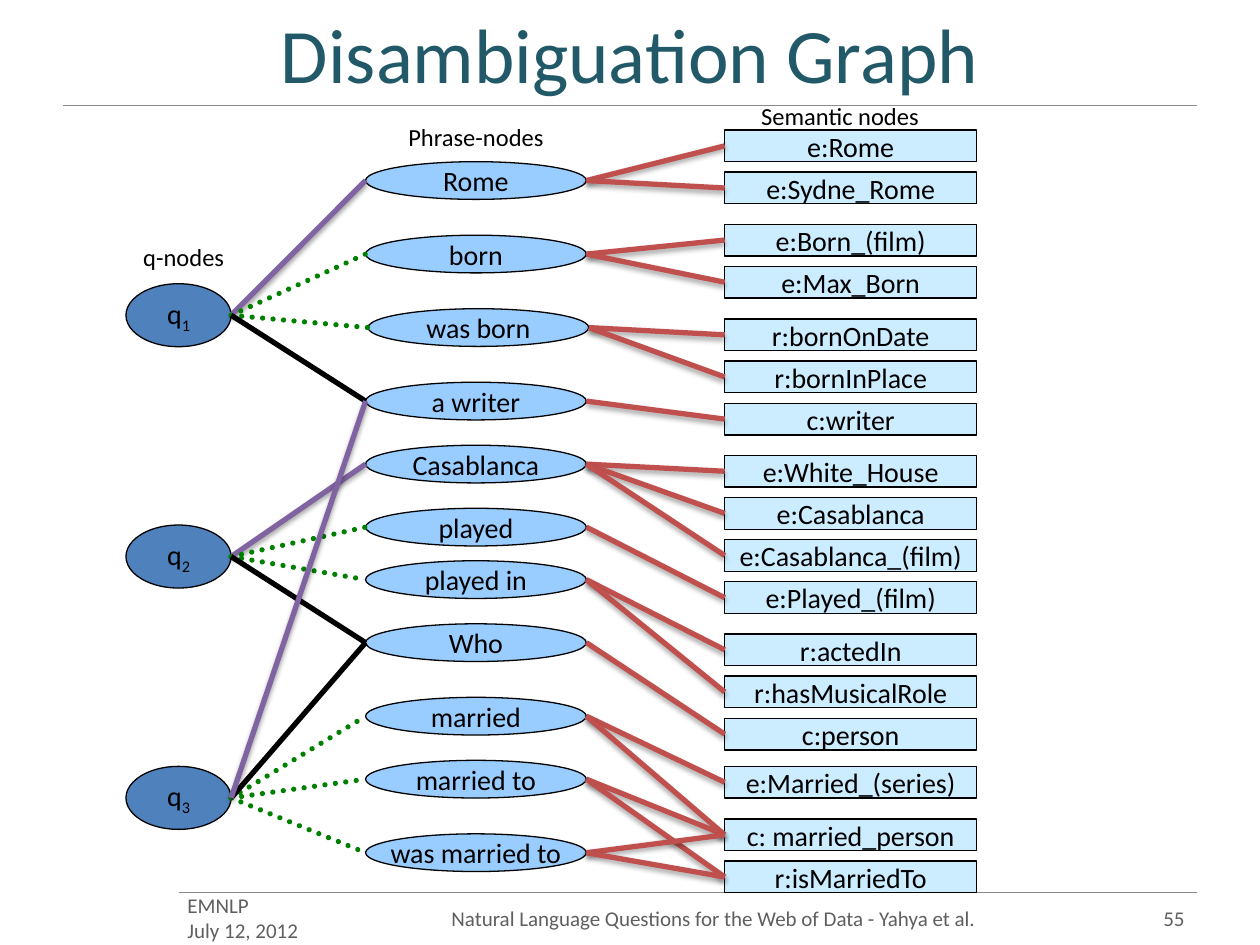
from collections import namedtuple
from dataclasses import dataclass
from lxml.etree import SubElement
from pptx import Presentation
from pptx.dml.color import RGBColor
from pptx.enum.dml import MSO_LINE
from pptx.enum.shapes import MSO_CONNECTOR, MSO_SHAPE
from pptx.enum.text import MSO_ANCHOR, PP_ALIGN
from pptx.oxml.ns import qn
from pptx.util import Cm, Pt

Box = namedtuple("Box", "x y w h")
Edge = namedtuple("Edge", "color dotted shade", defaults=(False, None))


@dataclass(frozen=True)
class Theme:
    """Colours, font and type sizes of the slide."""
    font: str = "Calibri"
    title: str = "215968"
    ink: str = "000000"
    paper: str = "FFFFFF"
    gray: str = "5F5F5F"
    rule: str = "898989"
    query: str = "4F81BD"
    phrase: str = "99CCFF"
    sense: str = "CCECFF"
    head: int = 44
    node: int = 16
    label: int = 14
    foot: int = 12
    thin: float = 0.75
    thick: float = 3


T = Theme()
RED = Edge("C0504D", shade=(35, 1.8))
PLUM = Edge("8064A2", shade=(38, 1.6))
BLACK = Edge(T.ink)
DOTS = Edge("008000", dotted=True)

QUERIES = [
    ("1", {"Rome": PLUM, "born": DOTS, "was born": DOTS, "a writer": BLACK}),
    ("2", {"Casablanca": PLUM, "played": DOTS, "played in": DOTS, "Who": BLACK}),
    ("3", {"married": DOTS, "married to": DOTS, "was married to": DOTS,
           "Who": BLACK, "a writer": PLUM}),
]
PHRASES = [
    ("Rome", 0, ["e:Rome", "e:Sydne_Rome"]),
    ("born", 7, ["e:Born_(film)", "e:Max_Born"]),
    ("was born", 14, ["r:bornOnDate", "r:bornInPlace"]),
    ("a writer", 21, ["c:writer"]),
    ("Casablanca", 27, ["e:White_House", "e:Casablanca", "e:Casablanca_(film)"]),
    ("played", 33, ["e:Played_(film)"]),
    ("played in", 38, ["r:actedIn", "r:hasMusicalRole"]),
    ("Who", 44, ["c:person"]),
    ("married", 51, ["e:Married_(series)", "c: married_person"]),
    ("married to", 57, ["c: married_person", "r:isMarriedTo"]),
    ("was married to", 64, ["c: married_person", "r:isMarriedTo"]),
]
GROUPS = [
    (0, ["e:Rome", "e:Sydne_Rome"]),
    (1.9, ["e:Born_(film)", "e:Max_Born"]),
    (3.81, ["r:bornOnDate", "r:bornInPlace", "c:writer"]),
    (6.56, ["e:White_House", "e:Casablanca", "e:Casablanca_(film)",
            "e:Played_(film)"]),
    (10.16, ["r:actedIn", "r:hasMusicalRole", "c:person"]),
    (12.83, ["e:Married_(series)"]),
    (13.89, ["c: married_person", "r:isMarriedTo"]),
]


def tint(text):
    """Turn a hex string into a colour."""
    return RGBColor.from_string(text)


def style(para, size, color, align):
    """Format one paragraph."""
    para.alignment = align
    para.font.name = T.font
    para.font.size = Pt(size)
    para.font.color.rgb = tint(color)


def note(slide, box, text, size, color, align=PP_ALIGN.CENTER,
         anchor=MSO_ANCHOR.TOP):
    """Add a wrapped text box."""
    frame = slide.shapes.add_textbox(*map(Cm, box)).text_frame
    frame.word_wrap = True
    frame.vertical_anchor = anchor
    frame.text = text
    for para in frame.paragraphs:
        style(para, size, color, align)


def node(slide, kind, box, text, fill, sub=""):
    """Add a graph node, with an optional subscript."""
    shape = slide.shapes.add_shape(kind, *map(Cm, box))
    shape.shadow.inherit = False
    shape.fill.solid()
    shape.fill.fore_color.rgb = tint(fill)
    shape.line.color.rgb = tint(T.ink)
    shape.line.width = Pt(T.thin)
    frame = shape.text_frame
    frame.word_wrap = False
    frame.vertical_anchor = MSO_ANCHOR.MIDDLE
    para = frame.paragraphs[0]
    para.add_run().text = text
    if sub:
        run = para.add_run()
        run.text = sub
        run.font._element.set("baseline", "-25000")
    style(para, T.node, T.ink, PP_ALIGN.CENTER)
    return shape


def link(slide, start, end, edge, width):
    """Add a straight line, dotted or shaded as its edge says."""
    line = slide.shapes.add_connector(MSO_CONNECTOR.STRAIGHT, *start, *end)
    line.line.color.rgb = tint(edge.color)
    line.line.width = Pt(width)
    props = line._element.spPr
    if edge.dotted:
        line.line.dash_style = MSO_LINE.ROUND_DOT
        props.find(qn("a:ln")).set("cap", "rnd")
    effect = SubElement(props, qn("a:effectLst"))
    if edge.shade:
        alpha, dist = edge.shade
        shade = SubElement(effect, qn("a:outerShdw"), blurRad=str(Pt(3.1)),
                           dist=str(Pt(dist)), dir="5400000", rotWithShape="0")
        color = SubElement(shade, qn("a:srgbClr"), val=T.ink)
        SubElement(color, qn("a:alpha"), val=str(alpha * 1000))
    return line


def left(shape):
    """Give the middle of the left side."""
    return shape.left, shape.top + shape.height // 2


def right(shape):
    """Give the middle of the right side."""
    return shape.left + shape.width, shape.top + shape.height // 2


def header(slide, box):
    """Place the title and the rule below it."""
    title = slide.shapes.title
    title.left, title.top, title.width, title.height = map(Cm, box)
    title.fill.solid()
    title.fill.fore_color.rgb = tint(T.paper)
    title.text_frame.text = "Disambiguation Graph"
    title.text_frame.vertical_anchor = MSO_ANCHOR.MIDDLE
    style(title.text_frame.paragraphs[0], T.head, T.title, PP_ALIGN.CENTER)
    y = Cm(box.y + box.h)
    link(slide, (Cm(box.x), y), (Cm(box.x + box.w), y), Edge(T.rule), T.thin)


def footer(slide, box):
    """Place the rule, venue, talk name and page number."""
    link(slide, (Cm(box.x + 0.08), Cm(box.y)),
         (Cm(box.x + box.w), Cm(box.y)), Edge(T.rule), T.thin)
    for x, w, text, align in [
        (0, 3.25, "EMNLP\nJuly 12, 2012", PP_ALIGN.LEFT),
        (3.91, 13.89, "Natural Language Questions for the Web of Data"
                      " - Yahya et al.", PP_ALIGN.CENTER),
        (18.49, 2.11, "55", PP_ALIGN.RIGHT),
    ]:
        note(slide, Box(box.x + x, box.y, w, box.h), text, T.foot, T.gray,
             align, MSO_ANCHOR.MIDDLE)


def queries(slide, box):
    """Place the q-nodes, evenly spread, and their label."""
    note(slide, Box(box.x - 0.21, box.y - 0.97, 2.75, 0.84), "q-nodes",
         T.label, T.ink)
    step = (box.h - 1.27) / (len(QUERIES) - 1)
    return {sub: node(slide, MSO_SHAPE.OVAL,
                      Box(box.x, box.y + i * step, box.w, 1.27),
                      "q", T.query, sub)
            for i, (sub, _) in enumerate(QUERIES)}


def phrases(slide, box):
    """Place the phrase nodes on their rows, and their label."""
    note(slide, Box(box.x + 0.53, box.y - 0.93, 3.39, 0.84), "Phrase-nodes",
         T.label, T.ink)
    unit = (box.h - 0.76) / PHRASES[-1][1]
    return {text: node(slide, MSO_SHAPE.OVAL,
                       Box(box.x + (0.05 if text == "was born" else 0),
                           box.y + row * unit, box.w, 0.76),
                       text, T.phrase)
            for text, row, _ in PHRASES}


def senses(slide, box):
    """Place the groups of semantic nodes, and their label."""
    note(slide, Box(box.x + 0.42, box.y - 0.71, 3.81, 0.85), "Semantic nodes",
         T.label, T.ink)
    return {text: node(slide, MSO_SHAPE.RECTANGLE,
                       Box(box.x, box.y + top + i * 0.85, box.w, 0.64),
                       text, T.sense)
            for top, group in GROUPS for i, text in enumerate(group)}


def graph(slide, box):
    """Place the three columns of nodes and join them."""
    roots = queries(slide, Box(box.x, box.y + 3.1, 2.12, 11))
    words = phrases(slide, Box(box.x + 4.83, box.y + 0.64, 4.45, 14.31))
    goals = senses(slide, Box(box.x + 12.07, box.y, 5.08, box.h))
    for text, _, names in PHRASES:
        for name in names:
            line = link(slide, right(words[text]), left(goals[name]), RED, T.thick)
            line.end_connect(goals[name], 1)
    for sub, edges in QUERIES:
        for text, edge in edges.items():
            link(slide, right(roots[sub]), left(words[text]), edge, T.thick)


def main():
    """Build and save the slide."""
    deck = Presentation()
    deck.slide_width, deck.slide_height = Cm(25.4), Cm(19.05)
    slide = deck.slides.add_slide(deck.slide_layouts[5])
    header(slide, Box(1.27, 0, 22.86, 2.12))
    footer(slide, Box(3.53, 17.99, 20.6, 1.02))
    graph(slide, Box(2.54, 2.62, 17.15, 15.37))
    deck.save("out.pptx")


if __name__ == "__main__":
    main()
